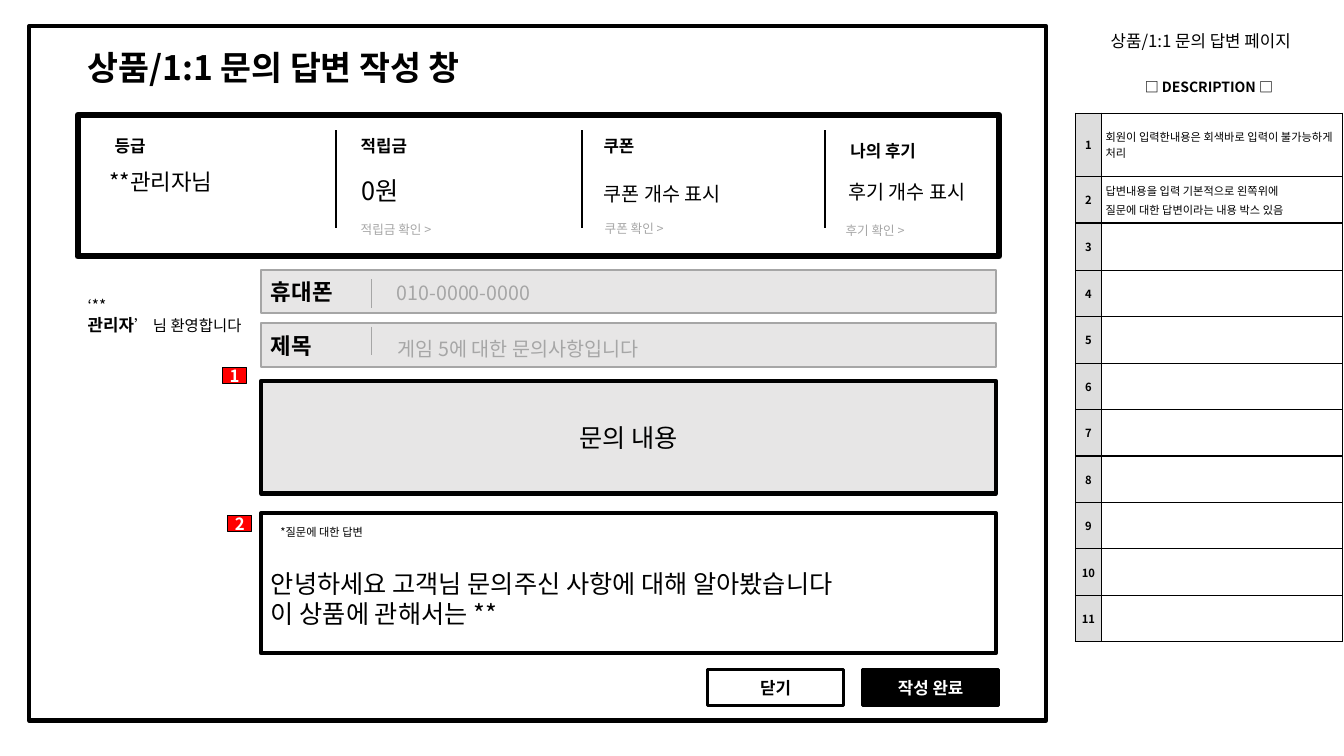
from dataclasses import dataclass
from typing import NamedTuple

from lxml import etree
from pptx import Presentation
from pptx.dml.color import RGBColor
from pptx.enum.shapes import MSO_CONNECTOR, MSO_SHAPE
from pptx.enum.text import MSO_ANCHOR, PP_ALIGN
from pptx.oxml.ns import qn
from pptx.util import Cm, Pt

FONT = "Noto Sans CJK KR"
BLACK = RGBColor(0x00, 0x00, 0x00)
WHITE = RGBColor(0xFF, 0xFF, 0xFF)
RED = RGBColor(0xFF, 0x00, 0x00)
HINT_GRAY = RGBColor(0xA6, 0xA6, 0xA6)
FIELD_GRAY = RGBColor(0xE7, 0xE6, 0xE6)
NUMBER_GRAY = RGBColor(0xDD, 0xDD, 0xDD)
RECTANGLE = MSO_SHAPE.RECTANGLE
ELLIPSE = MSO_SHAPE.OVAL
STRAIGHT = MSO_CONNECTOR.STRAIGHT
LEFT = PP_ALIGN.LEFT
CENTER = PP_ALIGN.CENTER
TOP = MSO_ANCHOR.TOP
MIDDLE = MSO_ANCHOR.MIDDLE


class Area(NamedTuple):
    left: float
    top: float
    width: float
    height: float

    def lengths(self):
        return [Cm(value) for value in self]


@dataclass
class Label:
    text: str
    area: Area
    size: float
    bold: bool = False
    color: RGBColor = BLACK


@dataclass
class Panel:
    area: Area
    line: RGBColor | None = BLACK
    weight: float = 3
    fill: RGBColor | None = None
    text: str = ""
    size: float = 18
    bold: bool = False
    color: RGBColor = BLACK
    align: PP_ALIGN = CENTER
    wrap: bool = True
    inset_top: float = 0.13
    kind: MSO_SHAPE = RECTANGLE


@dataclass
class Divider:
    left: float
    top: float
    bottom: float
    color: RGBColor = BLACK
    weight: float = 1.5


def add_span(para, text: str, *, size: float, bold: bool = False, color: RGBColor = BLACK) -> None:
    span = para.add_run()
    span.text = text
    span.font.size = Pt(size)
    span.font.bold = bold
    span.font.name = FONT
    span.font.color.rgb = color
    east_asian = etree.SubElement(span.font._element, qn("a:ea"))
    east_asian.set("typeface", FONT)


def write_text(frame, text: str, *, size: float, bold: bool = False, color: RGBColor = BLACK,
               align: PP_ALIGN = LEFT, anchor: MSO_ANCHOR = TOP, wrap: bool = True,
               before: float = 0) -> None:
    frame.word_wrap = wrap
    frame.vertical_anchor = anchor
    for index, line in enumerate(text.split("\n")):
        para = frame.add_paragraph() if index else frame.paragraphs[0]
        para.alignment = align
        para.space_before = Pt(before)
        if line:
            add_span(para, line, size=size, bold=bold, color=color)


def draw_label(page, label: Label, align: PP_ALIGN = LEFT, anchor: MSO_ANCHOR = TOP):
    box = page.shapes.add_textbox(*label.area.lengths())
    write_text(box.text_frame, label.text, size=label.size, bold=label.bold,
               color=label.color, align=align, anchor=anchor)
    return box


def draw_panel(page, panel: Panel) -> None:
    box = page.shapes.add_shape(panel.kind, *panel.area.lengths())
    box.shadow.inherit = False
    if panel.fill is None:
        box.fill.background()
    else:
        box.fill.solid()
        box.fill.fore_color.rgb = panel.fill
    if panel.line is None:
        box.line.fill.background()
    else:
        box.line.color.rgb = panel.line
        box.line.width = Pt(panel.weight)
    box.text_frame.margin_top = Cm(panel.inset_top)
    write_text(box.text_frame, panel.text, size=panel.size, bold=panel.bold, color=panel.color,
               align=panel.align, anchor=MIDDLE, wrap=panel.wrap)


def draw_divider(page, divider: Divider) -> None:
    left = Cm(divider.left)
    line = page.shapes.add_connector(STRAIGHT, left, Cm(divider.top), left, Cm(divider.bottom))
    line.line.color.rgb = divider.color
    line.line.width = Pt(divider.weight)
    etree.SubElement(line._element.spPr, qn("a:effectLst"))


def format_cell(cell, text: str, *, fill: RGBColor = WHITE, size: float = 8, bold: bool = False,
                align: PP_ALIGN = LEFT, sides: str = "LRTB") -> None:
    properties = cell._tc.get_or_add_tcPr()
    for side in "LRTB":
        border = etree.SubElement(properties, qn(f"a:ln{side}"), w=str(Pt(1)))
        if side in sides:
            paint = etree.SubElement(border, qn("a:solidFill"))
            etree.SubElement(paint, qn("a:srgbClr"), val=str(BLACK))
        else:
            etree.SubElement(border, qn("a:noFill"))
    cell.fill.solid()
    cell.fill.fore_color.rgb = fill
    cell.margin_left = cell.margin_right = cell.margin_top = cell.margin_bottom = Cm(0.1)
    cell.vertical_anchor = MIDDLE
    write_text(cell.text_frame, text, size=size, bold=bold, align=align, anchor=MIDDLE,
               before=size * 0.2)


def draw_descriptions(page, area: Area, notes: list[str], heights: list[float]) -> None:
    table = page.shapes.add_table(len(heights), 2, *area.lengths()).table
    table.first_row = table.horz_banding = False
    for column, width in zip(table.columns, (0.66, area.width - 0.66)):
        column.width = Cm(width)
    for row, height in zip(table.rows, heights):
        row.height = Cm(height)
    header = table.cell(0, 0)
    header.merge(table.cell(0, 1))
    format_cell(header, "□ DESCRIPTION □", size=10, bold=True, align=CENTER, sides="B")
    format_cell(table.cell(0, 1), "", sides="B")
    for number in range(1, len(heights)):
        note = notes[number - 1] if number <= len(notes) else ""
        format_cell(table.cell(number, 0), str(number), fill=NUMBER_GRAY, bold=True, align=CENTER)
        format_cell(table.cell(number, 1), note)


SUMMARY = [
    Label("등급", Area(2.64, 3.3, 3.58, 0.76), 12, True),
    Label("**관리자님", Area(2.51, 4.11, 3.86, 0.94), 16),
    Label("적립금", Area(8.84, 3.3, 3.58, 0.76), 12, True),
    Label("0원", Area(8.86, 4.29, 3.58, 1.02), 18),
    Label("적립금 확인 >", Area(8.84, 5.46, 2.57, 0.64), 9, color=HINT_GRAY),
    Label("쿠폰", Area(14.96, 3.3, 3.58, 0.76), 12, True),
    Label("쿠폰 개수 표시", Area(14.96, 4.47, 4.88, 0.86), 14),
    Label("쿠폰 확인 >", Area(14.99, 5.44, 2.24, 0.64), 9, color=HINT_GRAY),
    Label("나의 후기", Area(21.18, 3.43, 3.58, 0.76), 12, True),
    Label("후기 개수 표시", Area(21.13, 4.42, 4.42, 0.86), 14),
    Label("후기 확인 >", Area(21.06, 5.49, 2.24, 0.64), 9, color=HINT_GRAY),
]
HINTS = [
    Label("010-0000-0000", Area(9.75, 6.96, 3.96, 0.86), 14, color=HINT_GRAY),
    Label("게임 5에 대한 문의사항입니다", Area(9.78, 8.36, 7.29, 0.86), 14, color=HINT_GRAY),
]
FRAMES = [Panel(Area(0.74, 0.66, 25.63, 17.5)), Panel(Area(1.96, 2.9, 23.22, 3.56), weight=4.5)]
FIELDS = [
    Panel(Area(6.58, top, 18.52, 1.09), HINT_GRAY, 1.5, FIELD_GRAY, name, 16, True, align=LEFT)
    for name, top in (("휴대폰", 6.81), ("제목", 8.15))
]
BUTTONS = [
    Panel(Area(left, 16.87, 3.43, 0.91), BLACK, 2.25, fill, name, 12, True, color)
    for name, left, fill, color in (("닫기", 17.83, WHITE, BLACK), ("작성 완료", 21.74, BLACK, WHITE))
]
BADGES = [
    Panel(Area(left, top, 0.61, 0.41), BLACK, 0.75, RED, number, 12, True, WHITE, wrap=False)
    for number, left, top in (("1", 5.61, 9.25), ("2", 5.74, 12.98))
]
MESSAGES = [
    Panel(Area(6.58, 9.6, 18.52, 2.84), fill=FIELD_GRAY, text="문의 내용"),
    Panel(Area(6.58, 12.93, 18.52, 3.53), align=LEFT, inset_top=0.89,
          text="안녕하세요 고객님 문의주신 사항에 대해 알아봤습니다\n이 상품에 관해서는 ** "),
    Panel(Area(5.38, 12.88, 5.46, 1.04), None, text="*질문에 대한 답변", size=8, kind=ELLIPSE),
]
DIVIDERS = [Divider(left, 3.28, 5.74) for left in (8.46, 14.66, 20.8)]
DIVIDERS += [Divider(9.37, top, top + 0.71, HINT_GRAY, 1) for top in (7.04, 8.23)]
NOTES = [
    "회원이 입력한내용은 회색바로 입력이 불가능하게 처리",
    "답변내용을 입력 기본적으로 왼쪽위에\n질문에 대한 답변이라는 내용 박스 있음",
]

deck = Presentation()
deck.slide_width, deck.slide_height = Cm(33.87), Cm(19.05)
page = deck.slides.add_slide(deck.slide_layouts[6])

for panel in FRAMES + FIELDS + MESSAGES + BUTTONS + BADGES:
    draw_panel(page, panel)
for divider in DIVIDERS:
    draw_divider(page, divider)
draw_label(page, Label("상품/1:1 문의 답변 작성 창", Area(1.96, 1.07, 11, 1.27), 24, True))
for label in SUMMARY + HINTS:
    draw_label(page, label)

welcome = draw_label(page, Label("‘**", Area(1.96, 7.34, 4.78, 1.24), 11))
greeting = welcome.text_frame.add_paragraph()
add_span(greeting, "관리자", size=12, bold=True)
add_span(greeting, "’ 님 환영합니다", size=11)

draw_descriptions(page, Area(27.1, 1.5, 6.73, 14.58), NOTES, [1.35, 1.6, 1.17, 1.19] + [1.17] * 8)
draw_label(page, Label("상품/1:1 문의 답변 페이지", Area(27.1, 0.51, 6.32, 1.02), 12), CENTER, MIDDLE)

deck.save("out.pptx")
